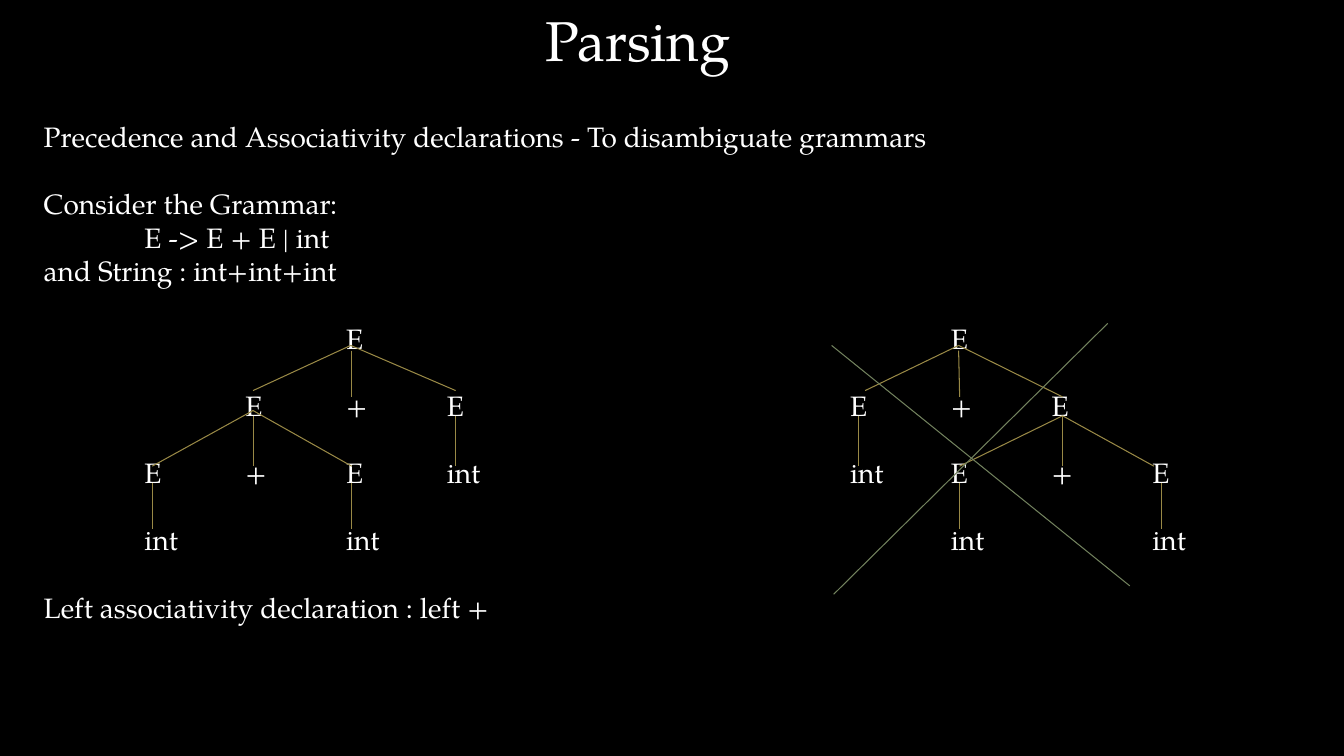
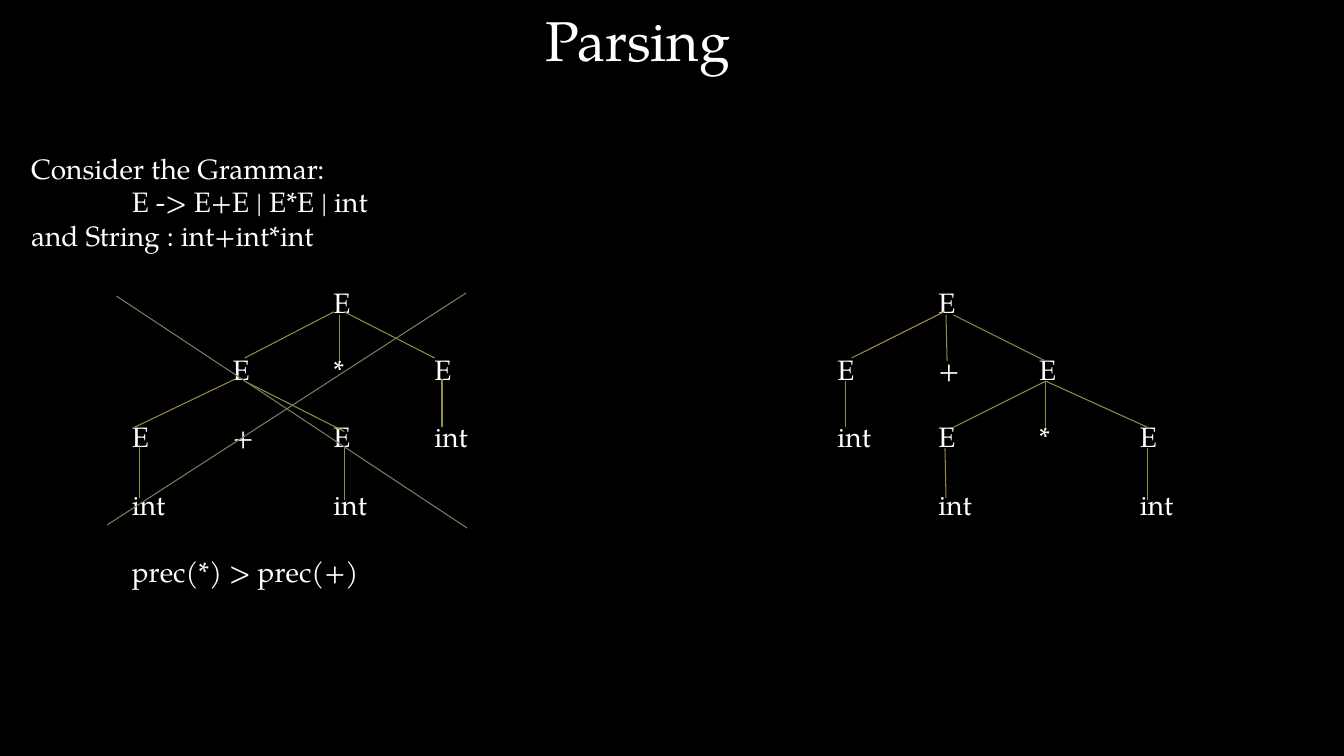
from itertools import chain
from lxml import etree
from pptx import Presentation
from pptx import util as u
from pptx.dml.color import RGBColor
from pptx.enum import shapes, text
from pptx.oxml.ns import qn

PX = 9525  # 96 px to the inch
TAB = 96   # one column of the trees
FONT = "TeX Gyre Pagella"
BLACK, WHITE, GOLD, OLIVE = "000000", "FFFFFF", "998946", "72825E"


def add_text(paragraph, wording, size):
    run = paragraph.add_run()
    run.text = wording
    run.font.name = FONT
    run.font.size = u.Pt(size)
    run.font.color.rgb = RGBColor.from_string(WHITE)


def place(placeholder, left, top, width, height):
    placeholder.left, placeholder.top = left * PX, top * PX
    placeholder.width, placeholder.height = width * PX, height * PX
    frame = placeholder.text_frame
    frame.auto_size = text.MSO_AUTO_SIZE.NONE
    frame.vertical_anchor = text.MSO_ANCHOR.TOP
    return frame


# Each row: space before in points, then {column: wording}
# Each line: x1, y1, x2, y2 in px
pages = [
    dict(
        body=(32, 109, 1193, 527),
        rows=[
            (0, {0: "Precedence and Associativity declarations - To disambiguate grammars"}),
            (24, {0: "Consider the Grammar:"}),
            (0, {1: "E -> E + E | int"}),
            (0, {0: "and String : int+int+int"}),
            (24, {3: "E", 9: "E"}),
            (24, {2: "E", 3: "+", 4: "E", 8: "E", 9: "+", 10: "E"}),
            (24, {1: "E", 2: "+", 3: "E", 4: "int", 8: "int", 9: "E", 10: "+", 11: "E"}),
            (24, {1: "int", 3: "int", 9: "int", 11: "int"}),
            (24, {0: "Left associativity declaration : left +"}),
        ],
        branches=[
            # left tree
            (334, 329, 241, 372), (335, 334, 335, 378), (334, 329, 434, 372),
            (241, 391, 145, 444), (241, 396, 241, 444), (241, 391, 335, 444),
            (434, 396, 434, 444), (145, 460, 145, 504), (335, 460, 335, 504),
            # right tree
            (913, 329, 824, 372), (913, 334, 914, 378), (913, 329, 1012, 378),
            (818, 396, 818, 444), (1012, 396, 914, 444), (1012, 396, 1012, 444),
            (1012, 396, 1099, 444), (914, 460, 914, 504), (1106, 460, 1106, 504),
        ],
        cross=[(794, 566, 1055, 308), (792, 329, 1076, 558)],
    ),
    dict(
        body=(20, 139, 1204, 462),
        rows=[
            (0, {0: "Consider the Grammar:"}),
            (0, {1: "E -> E+E | E*E | int"}),
            (0, {0: "and String : int+int*int"}),
            (24, {3: "E", 9: "E"}),
            (24, {2: "E", 3: "*", 4: "E", 8: "E", 9: "+", 10: "E"}),
            (24, {1: "E", 2: "+", 3: "E", 4: "int", 8: "int", 9: "E", 10: "*", 11: "E"}),
            (24, {1: "int", 3: "int", 9: "int", 11: "int"}),
            (24, {1: "prec(*) > prec(+)"}),
        ],
        branches=[
            # left tree
            (318, 297, 233, 341), (323, 300, 323, 344), (328, 297, 414, 341),
            (224, 361, 128, 407), (233, 363, 328, 411), (421, 361, 421, 407),
            (133, 424, 133, 474), (328, 427, 328, 476),
            # right tree
            (899, 297, 811, 341), (901, 300, 902, 344), (908, 300, 996, 344),
            (805, 363, 805, 407), (996, 363, 908, 407), (996, 363, 1093, 407),
            (996, 363, 996, 407), (900, 427, 901, 474), (1093, 427, 1093, 476),
        ],
        cross=[(111, 282, 445, 503), (102, 500, 444, 279)],
    ),
]

prs = Presentation()
prs.slide_width, prs.slide_height = 1280 * PX, 720 * PX
master = prs.slide_master
backdrop = master.background.fill
backdrop.solid()
backdrop.fore_color.rgb = RGBColor.from_string(BLACK)

# One tab width throughout the deck
for style in chain(prs.element.iter(), master.element.iter()):
    if style.get("defTabSz"):
        style.set("defTabSz", str(TAB * PX))

for page in pages:
    slide = prs.slides.add_slide(prs.slide_layouts[1])

    # Title
    heading = place(slide.shapes.title, 510, 0, 207, 74)
    heading.word_wrap = False
    heading.paragraphs[0].alignment = text.PP_ALIGN.LEFT
    add_text(heading.paragraphs[0], "Parsing", 40)

    # Grammar and tree labels, each label tabbed to its column
    body = place(slide.placeholders[1], *page["body"])
    body.word_wrap = True
    for index, (gap, cells) in enumerate(page["rows"]):
        row = body.paragraphs[0] if index == 0 else body.add_paragraph()
        props = row._p.get_or_add_pPr()
        for key, value in (("marL", 0), ("indent", 0), ("defTabSz", TAB * PX)):
            props.set(key, str(value))
        etree.SubElement(props, qn("a:buNone"))
        row.space_before = u.Pt(gap)
        wording, reached = "", 0
        for column, label in cells.items():
            wording += "\t" * (column - reached) + label
            reached = column
        add_text(row, wording, 20)

    # Tree branches, then the cross over the rejected tree
    for color, lines in ((GOLD, page["branches"]), (OLIVE, page["cross"])):
        for ends in lines:
            line = slide.shapes.add_connector(
                shapes.MSO_CONNECTOR.STRAIGHT, *(end * PX for end in ends))
            line.line.color.rgb = RGBColor.from_string(color)
            line.line.width = u.Pt(0.75)
            etree.SubElement(line._element.spPr, qn("a:effectLst"))

prs.save("out.pptx")
